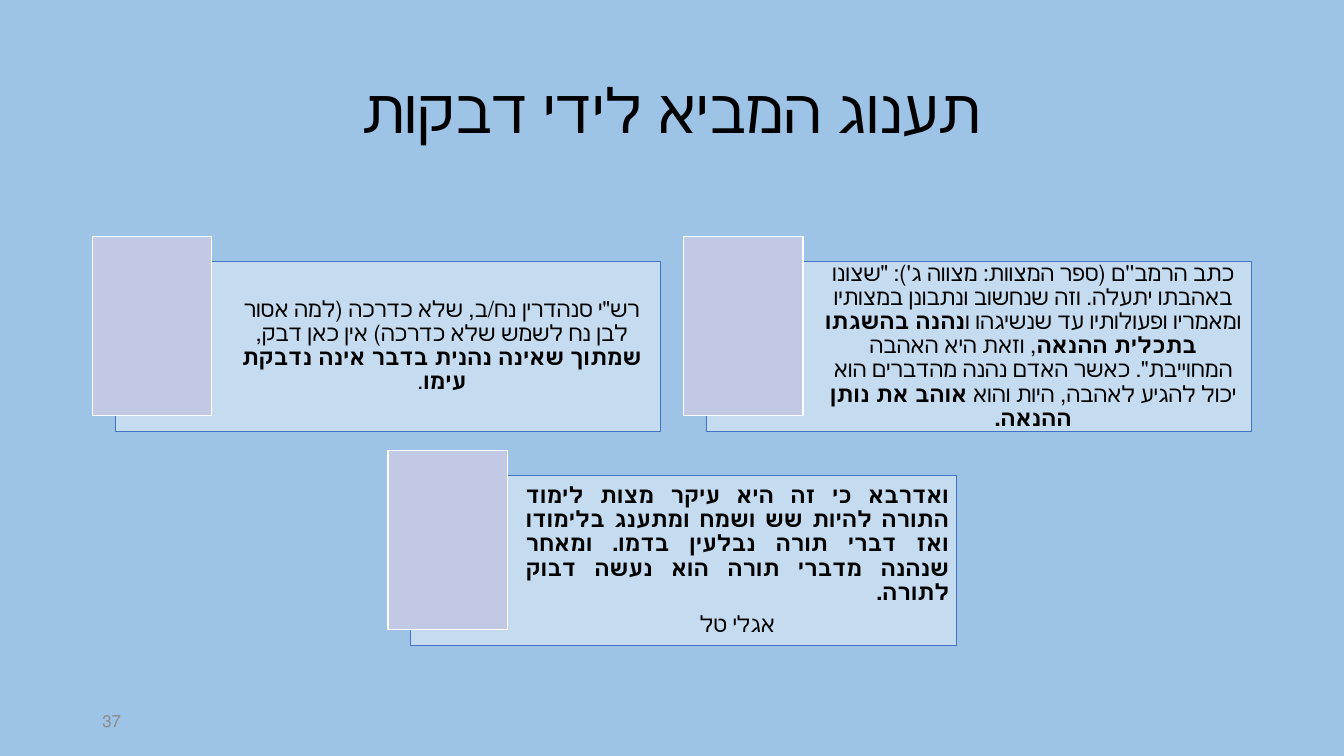
import pptx
import pptx.util
import pptx.dml.color
import pptx.enum.shapes
import pptx.enum.text
import pptx.oxml
import pptx.oxml.ns

Pt = pptx.util.Pt
ALIGN = pptx.enum.text.PP_ALIGN
RECT = pptx.enum.shapes.MSO_SHAPE.RECTANGLE
COLORS = {"background": "9DC3E6", "card": "FFFFFF", "border": "4472C4",
          "tile": "C1C9E4", "text": "000000", "number": "8C8C8C"}


def rgb(name):
    return pptx.dml.color.RGBColor.from_string(COLORS[name])


def add_text(tf, paragraphs, size, color="text", spacing=0.9, after=0):
    """Fill a frame with right-to-left paragraphs of (text, bold) runs."""
    tf.word_wrap = True
    tf.vertical_anchor = pptx.enum.text.MSO_ANCHOR.MIDDLE
    for i, (align, runs) in enumerate(paragraphs):
        p = tf.paragraphs[0] if i == 0 else tf.add_paragraph()
        p.alignment = align
        p.line_spacing = spacing
        p.space_before = Pt(0)
        p.space_after = Pt(after)
        p._p.get_or_add_pPr().set("rtl", "1")
        for text, bold in runs:
            r = p.add_run()
            r.text = text
            r.font.name = "Calibri"
            r.font.size = Pt(size)
            r.font.bold = bold
            r.font.color.rgb = rgb(color)


prs = pptx.Presentation()
prs.slide_width, prs.slide_height = Pt(960), Pt(540)
s = prs.slides.add_slide(prs.slide_layouts[6])
s.background.fill.solid()
s.background.fill.fore_color.rgb = rgb("background")

# Title
sp = s.shapes.add_textbox(Pt(66), Pt(28.75), Pt(828), Pt(104.4))
add_text(sp.text_frame, [(ALIGN.CENTER, [("תענוג המביא לידי דבקות", False)])], 44)

# Cards: column and row on the grid, then paragraphs
cards = [
    (0, 0, [(ALIGN.CENTER, [
        ("רש\"י סנהדרין נח/ב, שלא כדרכה (למה אסור לבן נח לשמש שלא כדרכה) אין כאן דבק, ", False),
        ("שמתוך שאינה נהנית בדבר אינה נדבקת עימו", True),
        (".", False)])]),
    (1, 0, [(ALIGN.CENTER, [
        ("כתב הרמב''ם (ספר המצוות: מצווה ג'): \"שצונו באהבתו יתעלה. וזה שנחשוב ונתבונן "
         "במצותיו ומאמריו ופעולותיו עד שנשיגהו ו", False),
        ("נהנה בהשגתו בתכלית ההנאה", True),
        (", וזאת היא האהבה המחוייבת\". כאשר האדם נהנה מהדברים הוא יכול להגיע לאהבה, "
         "היות והוא ", False),
        ("אוהב את נותן ההנאה.", True)])]),
    (0.5, 1, [
        (ALIGN.JUSTIFY, [
            ("ואדרבא כי זה היא עיקר מצות לימוד התורה להיות שש ושמח ומתענג בלימודו ואז דברי "
             "תורה נבלעין בדמו. ומאחר שנהנה מדברי תורה הוא נעשה דבוק לתורה.", True)]),
        (ALIGN.CENTER, [("אגלי טל", False)])]),
]
for col, row, paragraphs in cards:
    x, y = 82.2 + col * 422.4, 186.6 + row * 153

    sp = s.shapes.add_shape(RECT, Pt(x), Pt(y), Pt(389.5), Pt(121.7))
    sp.shadow.inherit = False
    sp.fill.solid()
    sp.fill.fore_color.rgb = rgb("card")
    color = sp.fill._xPr.find(".//" + pptx.oxml.ns.qn("a:srgbClr"))
    color.append(pptx.oxml.parse_xml(
        '<a:alpha %s val="40000"/>' % pptx.oxml.ns.nsdecls("a")))
    sp.line.color.rgb = rgb("border")
    sp.line.width = Pt(0.5)
    tf = sp.text_frame
    tf.margin_left = Pt(82.1)
    tf.margin_right = tf.margin_top = tf.margin_bottom = Pt(4.8)
    add_text(tf, paragraphs, 16, after=5.6)

    # Tile overlapping the card's upper left corner
    sp = s.shapes.add_shape(RECT, Pt(x - 16.2), Pt(y - 17.6), Pt(85.2), Pt(127.8))
    sp.shadow.inherit = False
    sp.fill.solid()
    sp.fill.fore_color.rgb = rgb("tile")
    sp.line.color.rgb = rgb("card")
    sp.line.width = Pt(1)

# Slide number
sp = s.shapes.add_textbox(Pt(66), Pt(500.5), Pt(216), Pt(28.75))
add_text(sp.text_frame, [(ALIGN.LEFT, [("37", False)])], 12, "number", 1)

prs.save("out.pptx")
